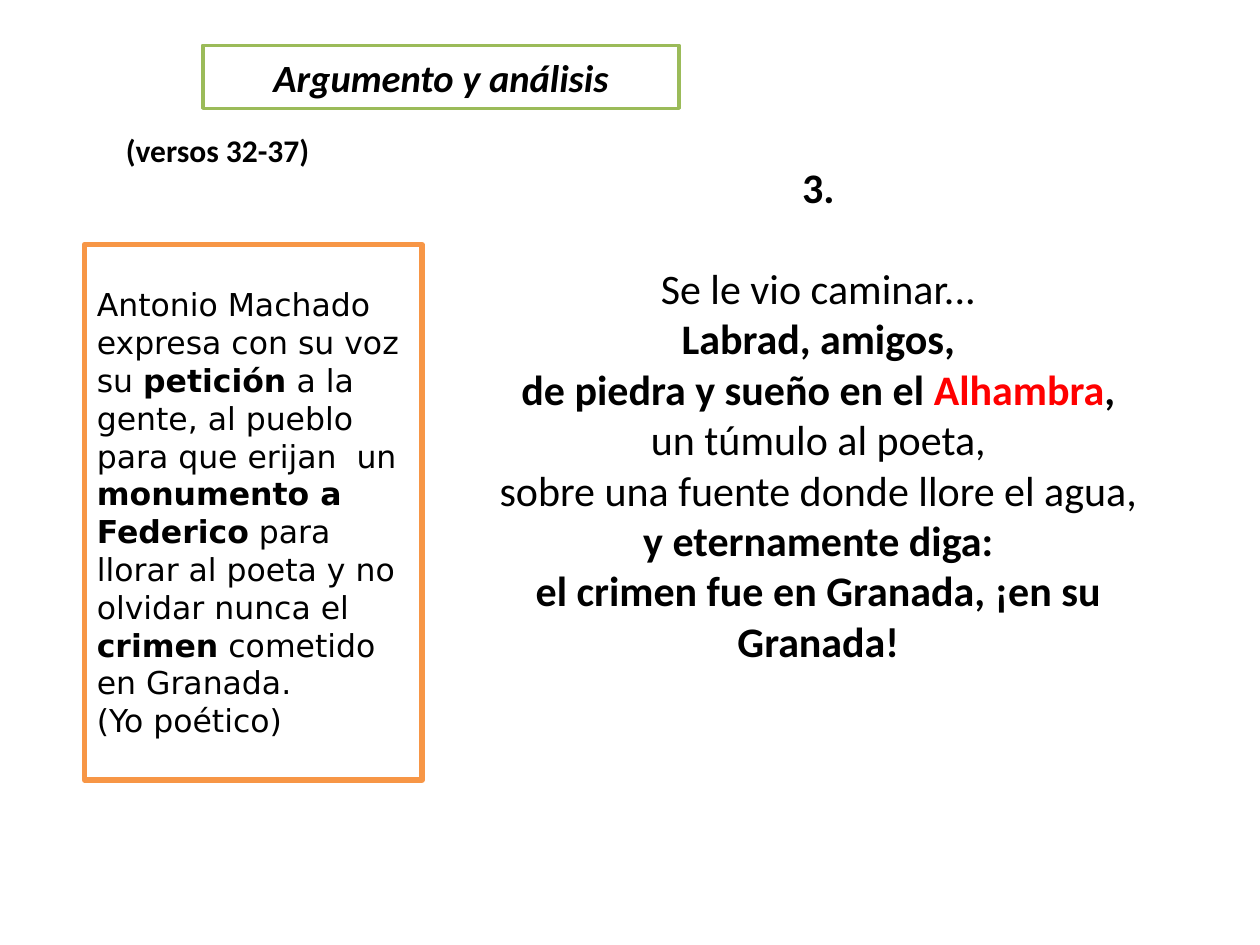
from pptx import Presentation
from pptx.dml.color import RGBColor
from pptx.enum import shapes, text
from pptx.util import Inches, Pt

BLACK = RGBColor(0, 0, 0)
WHITE = RGBColor(255, 255, 255)
RED = RGBColor(255, 0, 0)
GREEN = RGBColor(0x9B, 0xBB, 0x59)
ORANGE = RGBColor(0xF7, 0x96, 0x46)


def write(p, content, size=18, font="Calibri", bold=False, italic=False, color=BLACK):
    """Add text to a paragraph, with a line break at each newline."""
    for i, line in enumerate(content.split("\n")):
        if i:
            p.add_line_break()
        if line:
            r = p.add_run()
            r.text = line
            r.font.size, r.font.name = Pt(size), font
            r.font.bold, r.font.italic = bold, italic
            r.font.color.rgb = color


def place(sp, left, top, width, height):
    sp.left, sp.top = Inches(left), Inches(top)
    sp.width, sp.height = Inches(width), Inches(height)
    sp.text_frame.word_wrap = True
    sp.text_frame.auto_size = text.MSO_AUTO_SIZE.NONE


prs = Presentation()
prs.slide_width, prs.slide_height = Inches(10), Inches(7.5)
s = prs.slides.add_slide(prs.slide_layouts[0])

# Title
title = s.shapes.title
place(title, 1.61, 0.36, 3.78, 0.5)
title.fill.solid()
title.fill.fore_color.rgb = WHITE
title.line.color.rgb = GREEN
title.line.width = Pt(2)
title.text_frame.vertical_anchor = text.MSO_ANCHOR.MIDDLE
p = title.text_frame.paragraphs[0]
p.alignment = text.PP_ALIGN.CENTER
write(p, "Argumento y análisis", size=22, bold=True, italic=True)

# Poem: number, then the stanza one line lower
poem = s.placeholders[1]
place(poem, 3.58, 1.23, 5.83, 4.62)
poem.fill.solid()
poem.fill.fore_color.rgb = WHITE
tf = poem.text_frame
number, stanza = tf.paragraphs[0], tf.add_paragraph()
for p, gap in ((number, 0), (stanza, 29)):
    p.alignment = text.PP_ALIGN.CENTER
    p.space_before = Pt(gap)
write(number, "3.", size=24, bold=True)
for content, bold, color in (
    ("Se le vio caminar...\n", False, BLACK),
    ("Labrad, amigos,\nde piedra y sueño en el ", True, BLACK),
    ("Alhambra", True, RED),
    (",\n", True, BLACK),
    ("un túmulo al poeta,\nsobre una fuente donde llore el agua,\n", False, BLACK),
    ("y eternamente diga:\nel crimen fue en Granada, ¡en su Granada!", True, BLACK),
):
    write(stanza, content, size=24, bold=bold, color=color)

# Verse numbers
verses = s.shapes.add_textbox(0, 0, 0, 0)
place(verses, 0.9, 0.99, 1.73, 0.4)
write(verses.text_frame.paragraphs[0], "(versos 32-37)", bold=True)

# Commentary box
note = s.shapes.add_shape(shapes.MSO_SHAPE.RECTANGLE, 0, 0, 0, 0)
place(note, 0.67, 1.94, 2.68, 4.25)
note.shadow.inherit = False
note.fill.solid()
note.fill.fore_color.rgb = WHITE
note.line.color.rgb = ORANGE
note.line.width = Pt(3)
note.text_frame.vertical_anchor = text.MSO_ANCHOR.MIDDLE
p = note.text_frame.paragraphs[0]
p.alignment = text.PP_ALIGN.LEFT
for content, bold in (
    ("Antonio Machado expresa con su voz su ", False),
    ("petición", True),
    (" a la gente, al pueblo para que erijan  un ", False),
    ("monumento a Federico", True),
    (" para llorar al poeta y no olvidar nunca el ", False),
    ("crimen", True),
    (" cometido en Granada.\n(Yo poético)", False),
):
    write(p, content, font="DejaVu Sans", bold=bold)

prs.save("out.pptx")
